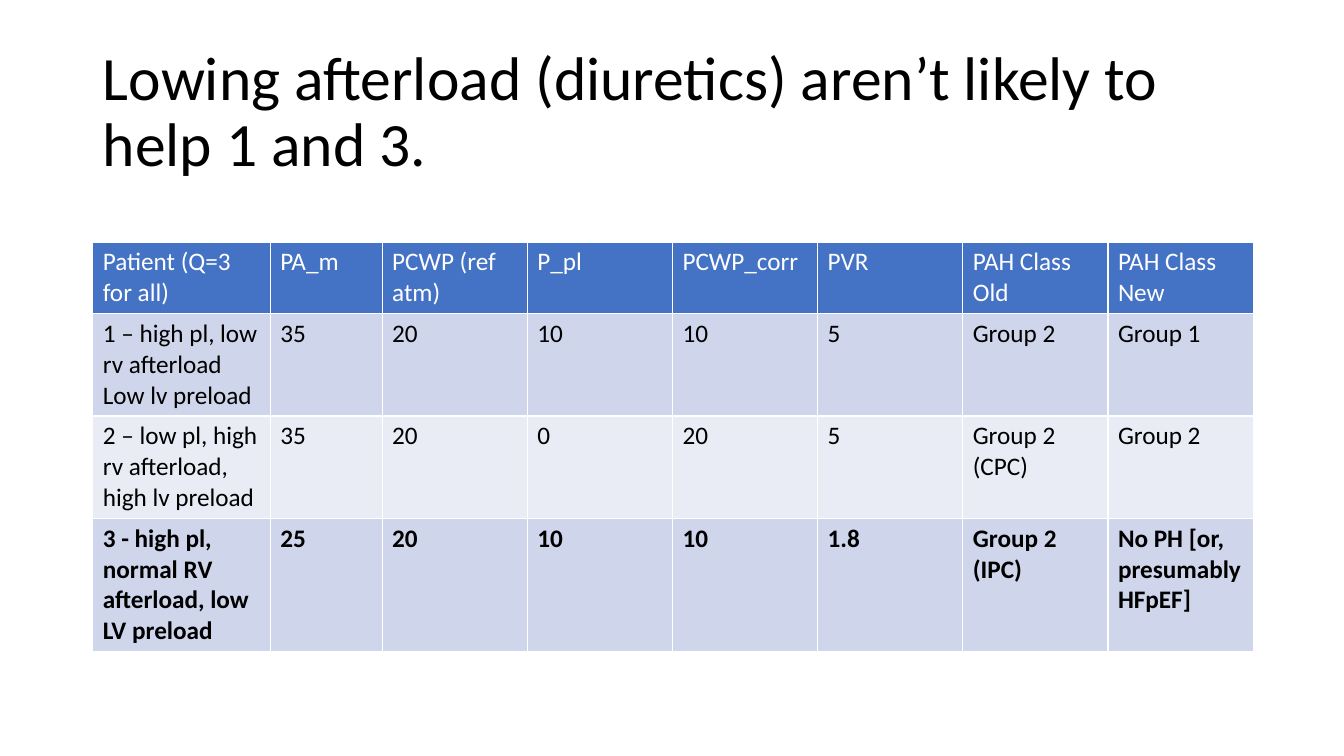
import pptx
import pptx.dml.color
import pptx.enum.text
import pptx.util

PX = 9144
FONT = "Calibri"
WHITE, BLACK = "FFFFFF", "000000"
HEADER_FILL = "4472C4"
BAND_FILLS = ["CFD5EA", "E9EBF5"]
COLUMN_WIDTHS = [176, 111] + [144] * 6
ROW_HEIGHT = 41
TITLE = "Lowing afterload (diuretics) aren’t likely to help 1 and 3."
PATIENT_ROWS = [
    ["Patient (Q=3 for all)", "PA_m", "PCWP (ref atm)", "P_pl",
     "PCWP_corr", "PVR", "PAH Class Old", "PAH Class New"],
    ["1 – high pl, low rv afterload\nLow lv preload", "35", "20", "10",
     "10", "5", "Group 2", "Group 1"],
    ["2 – low pl, high rv afterload, high lv preload", "35", "20", "0",
     "20", "5", "Group 2 (CPC)", "Group 2"],
    ["3 - high pl, normal RV afterload, low LV preload", "25", "20", "10",
     "10", "1.8", "Group 2 (IPC)", "No PH [or, presumably HFpEF]"],
]


def px(length):
    return pptx.util.Emu(length * PX)


def paint(color_format, color):
    color_format.rgb = pptx.dml.color.RGBColor.from_string(color)


def set_font(paragraph, size, color, bold=False):
    paragraph.font.name = FONT
    paragraph.font.size = pptx.util.Pt(size)
    paragraph.font.bold = bold
    paint(paragraph.font.color, color)


def place_title(page, left, top, width, height):
    title = page.shapes.title
    title.left, title.top = px(left), px(top)
    title.width, title.height = px(width), px(height)
    frame = title.text_frame
    frame.text = TITLE
    frame.word_wrap = True
    frame.auto_size = pptx.enum.text.MSO_AUTO_SIZE.NONE
    frame.vertical_anchor = pptx.enum.text.MSO_ANCHOR.MIDDLE
    paragraph = frame.paragraphs[0]
    paragraph.alignment = pptx.enum.text.PP_ALIGN.LEFT
    paragraph.line_spacing = 0.9
    set_font(paragraph, 44, BLACK)


def fill_cell(cell, text, fill, color, bold):
    cell.fill.solid()
    paint(cell.fill.fore_color, fill)
    cell.text = text
    for paragraph in cell.text_frame.paragraphs:
        set_font(paragraph, 18, color, bold)


def place_patient_table(page, left, top, width, height):
    table = page.shapes.add_table(
        len(PATIENT_ROWS), len(COLUMN_WIDTHS),
        px(left), px(top), px(width), px(height)).table
    for column, column_width in zip(table.columns, COLUMN_WIDTHS):
        column.width = px(column_width)
    for row in table.rows:
        row.height = px(ROW_HEIGHT)
    last_row = len(PATIENT_ROWS) - 1
    for row_index, texts in enumerate(PATIENT_ROWS):
        is_header = row_index == 0
        fill = HEADER_FILL if is_header else BAND_FILLS[(row_index - 1) % 2]
        color = WHITE if is_header else BLACK
        for column_index, text in enumerate(texts):
            fill_cell(table.cell(row_index, column_index), text, fill, color,
                      row_index == last_row)


def main():
    deck = pptx.Presentation()
    deck.slide_width, deck.slide_height = px(1333), px(750)
    page = deck.slides.add_slide(deck.slide_layouts.get_by_name("Title Only"))
    place_title(page, 92, 40, 1150, 145)
    place_patient_table(page, 92, 240, sum(COLUMN_WIDTHS), 400)
    deck.save("out.pptx")


if __name__ == "__main__":
    main()
